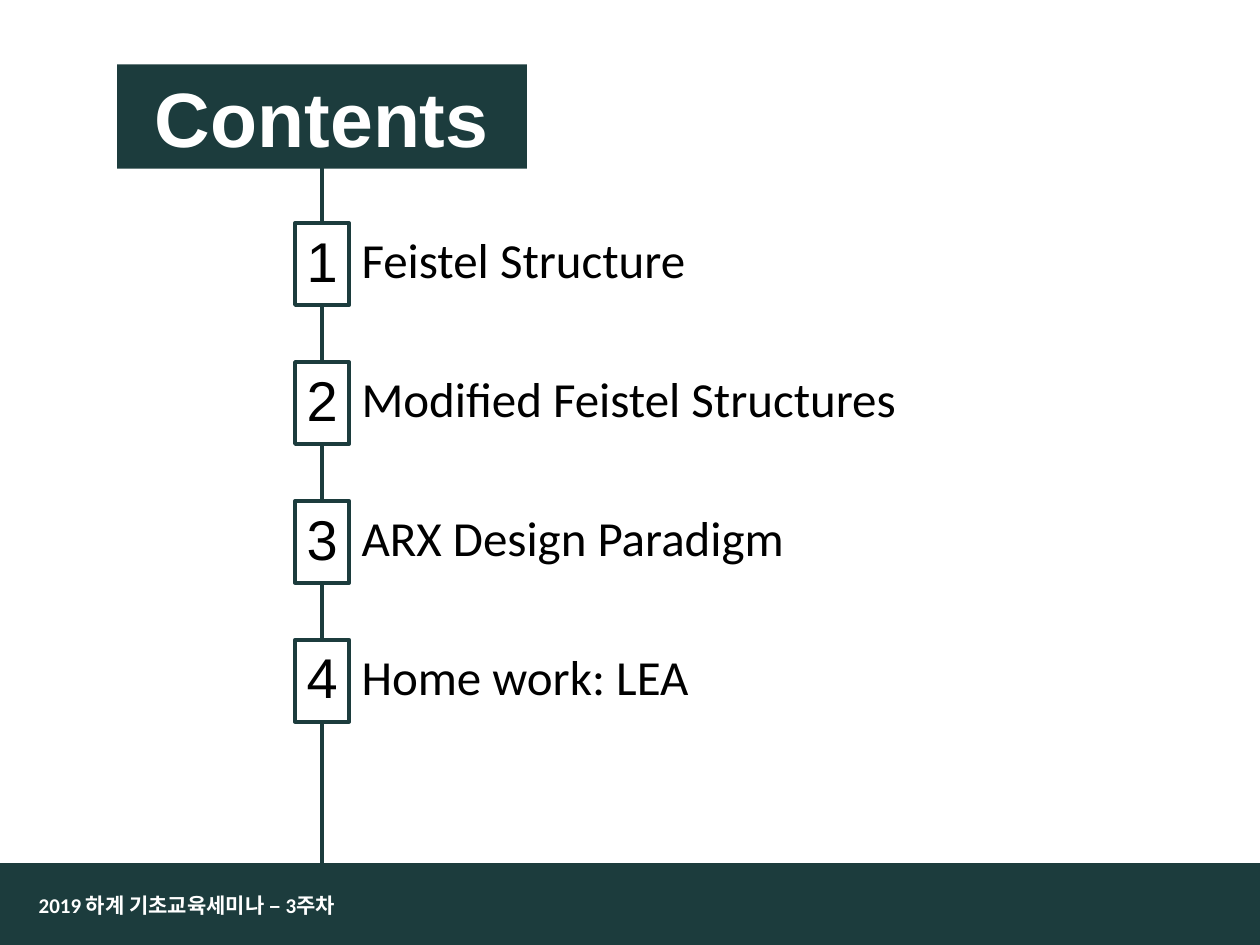
from lxml import etree
from pptx import Presentation
from pptx import util as u
from pptx.dml.color import RGBColor
from pptx.enum import shapes, text
from pptx.oxml.ns import qn

TEAL = RGBColor(0x1C, 0x3C, 0x3D)
WHITE = RGBColor(0xFF, 0xFF, 0xFF)
BLACK = RGBColor(0x00, 0x00, 0x00)
CHAPTERS = [
    ("Feistel Structure", 9.75),
    ("Modified Feistel Structures", 13.82),
    ("ARX Design Paradigm", 9.75),
    ("Home work: LEA", 9.75),
]
FIRST_TOP, PITCH, ROW_HEIGHT = 4.5, 2.8, 1.65


def place(left, top, width, height):
    """Return a position and size in centimetres as lengths."""
    return [u.Cm(value) for value in (left, top, width, height)]


def write(shape, words, size, font, color, bold=False, centred=False,
          anchor=text.MSO_ANCHOR.MIDDLE):
    """Put one formatted paragraph into a shape."""
    frame = shape.text_frame
    frame.text = words
    frame.word_wrap = True
    frame.auto_size = text.MSO_AUTO_SIZE.NONE
    frame.vertical_anchor = anchor
    line = frame.paragraphs[0]
    line.alignment = text.PP_ALIGN.CENTER if centred else text.PP_ALIGN.LEFT
    line.font.size = u.Pt(size)
    line.font.name = font
    line.font.bold = bold
    line.font.color.rgb = color


def add_box(slide, position, fill):
    """Add a plain filled rectangle."""
    box = slide.shapes.add_shape(shapes.MSO_SHAPE.RECTANGLE, *position)
    box.shadow.inherit = False
    box.fill.solid()
    box.fill.fore_color.rgb = fill
    box.line.fill.background()
    return box


def add_spine(slide):
    """Draw the vertical line behind everything else."""
    spine = slide.shapes.add_connector(
        shapes.MSO_CONNECTOR.STRAIGHT, *place(6.5, 1.9, 6.5, 18.16))
    spine.line.color.rgb = TEAL
    spine.line.width = u.Pt(2.25)
    etree.SubElement(spine._element.spPr, qn("a:effectLst"))
    slide.shapes._spTree.insert(2, spine._element)


def add_heading(slide):
    """Format the title placeholder as a filled banner."""
    heading = slide.shapes.title
    heading.left, heading.top, heading.width, heading.height = place(
        2.36, 1.3, 8.26, 2.1)
    heading.fill.solid()
    heading.fill.fore_color.rgb = TEAL
    write(heading, "Contents", 44, "Arial", WHITE, bold=True, centred=True)


def add_chapter(slide, number, name, width):
    """Add a numbered box with the chapter name beside it."""
    top = FIRST_TOP + PITCH * (number - 1)
    label = slide.shapes.add_textbox(*place(7.04, top, width, ROW_HEIGHT))
    write(label, name, 28, "Calibri", BLACK, anchor=text.MSO_ANCHOR.TOP)
    badge = add_box(slide, place(5.95, top, 1.09, ROW_HEIGHT), WHITE)
    badge.line.color.rgb = TEAL
    badge.line.width = u.Pt(2.25)
    write(badge, str(number), 32, "Arial", BLACK, centred=True)
    badge.text_frame.margin_left = badge.text_frame.margin_right = 0
    badge.text_frame.paragraphs[0].line_spacing = 0.9


def add_footer(slide):
    """Add the bottom band and the seminar name on it."""
    add_box(slide, place(0, 17.4, 25.4, 1.65), TEAL)
    seminar = slide.shapes.add_textbox(*place(0.53, 17.73, 20.78, 1.02))
    write(seminar, "2019 하계 기초교육세미나 – 3주차", 12, "Calibri", WHITE, bold=True)


def main():
    """Build the contents slide and save it."""
    deck = Presentation()
    deck.slide_width, deck.slide_height = u.Cm(25.4), u.Cm(19.05)
    slide = deck.slides.add_slide(deck.slide_layouts[5])
    add_heading(slide)
    add_spine(slide)
    add_footer(slide)
    for number, (name, width) in enumerate(CHAPTERS, 1):
        add_chapter(slide, number, name, width)
    deck.save("out.pptx")


if __name__ == "__main__":
    main()
